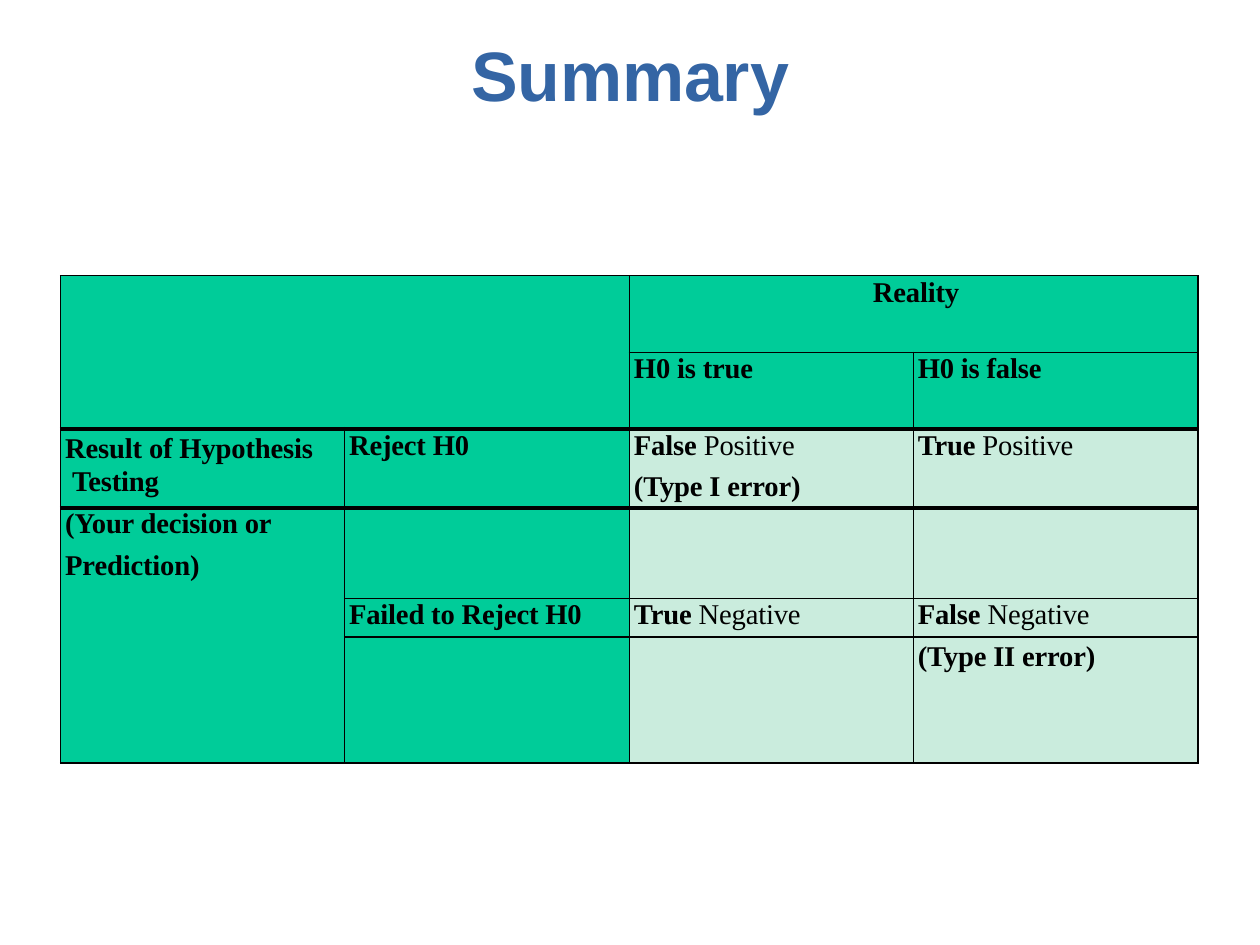
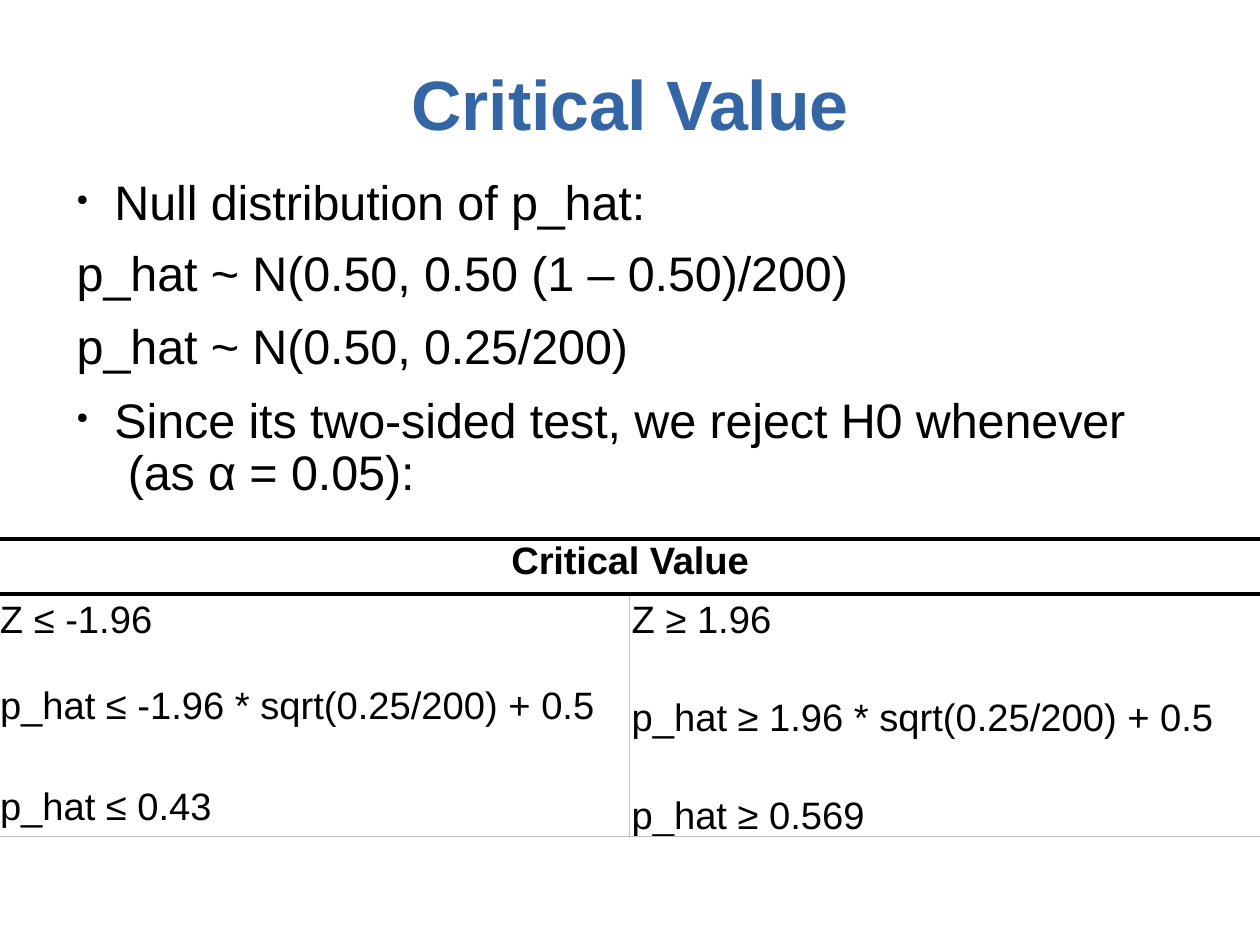
from lxml import etree
from pptx import Presentation
from pptx.dml.color import RGBColor
from pptx.enum import shapes, text
from pptx.oxml import ns
from pptx.util import Inches, Pt

WIDTH, HEIGHT = 11.01, 8.26
TITLE_BLUE, BLACK, GREY = "3465A4", "000000", "BFBFBF"
GREEN, PALE_GREEN = "00CC99", "CAECDD"
SANS, SERIF = "Arial", "Times New Roman"
CENTER = text.PP_ALIGN.CENTER


def rgb(colour):
    return RGBColor.from_string(colour)


def style(para, name, size, colour=BLACK, bold=None, align=None, spacing=0):
    """Set the font, alignment and letter spacing of a paragraph."""
    para.alignment = align
    font = para.font
    font.name, font.size, font.bold = name, Pt(size), bold
    font.color.rgb = rgb(colour)
    for span in para.runs:
        span._r.get_or_add_rPr().set("spc", str(spacing))


def indent(para, left, first=0.0):
    properties = para._p.get_or_add_pPr()
    properties.set("marL", str(Inches(left)))
    properties.set("indent", str(Inches(first)))
    return properties


def add_bullet(para, left, hanging):
    properties = indent(para, left, -hanging)
    etree.SubElement(properties, ns.qn("a:buSzPct")).set("val", "30000")
    etree.SubElement(properties, ns.qn("a:buChar")).set("char", "●")


def set_margins(holder, left=0.0, top=0.0):
    holder.margin_left, holder.margin_top = Inches(left), Inches(top)
    holder.margin_right = holder.margin_bottom = 0


def add_frame(page, left, top, width, height, inset_left=0.0, inset_top=0.0):
    box = page.shapes.add_textbox(*map(Inches, (left, top, width, height)))
    frame = box.text_frame
    frame.word_wrap = True
    set_margins(frame, inset_left, inset_top)
    return frame


def add_title(page, words, top, width):
    frame = add_frame(page, (WIDTH - width) / 2, top, width, 0.76, 0, 0.02)
    para = frame.paragraphs[0]
    para.text = words
    style(para, SANS, 44, TITLE_BLUE, True, CENTER, -10)


def add_line(page, start, end, points, colour):
    line = page.shapes.add_connector(
        shapes.MSO_CONNECTOR.STRAIGHT, *map(Inches, (*start, *end)))
    line.line.width = Pt(points)
    line.line.color.rgb = rgb(colour)
    etree.SubElement(line._element.spPr, ns.qn("a:effectLst"))


def finish_cell(cell, fill, **widths):
    """Draw black borders of the given widths, and then the fill."""
    properties = cell._tc.get_or_add_tcPr()
    for side in "LRTB":
        points = widths[side]
        line = etree.SubElement(properties, ns.qn("a:ln" + side))
        line.set("w", str(Pt(points)))
        if points:
            solid = etree.SubElement(line, ns.qn("a:solidFill"))
            etree.SubElement(solid, ns.qn("a:srgbClr")).set("val", BLACK)
        else:
            etree.SubElement(line, ns.qn("a:noFill"))
    cell.fill.solid()
    cell.fill.fore_color.rgb = rgb(fill)


def add_outcome_table(page, left, top):
    widths = [2.48, 2.49, 2.48, 2.49]
    heights = [0.67, 0.67, 0.69, 0.34, 0.45, 0.34, 1.1]
    label_rules = [1, 1, 3, 3, 0, 0, 0, 1]
    value_rules = [1, 1, 3, 3, 0, 1, 1, 1]
    # Each paragraph is a bold part and a plain part.
    contents = {
        (0, 2): [("Reality", "")],
        (1, 2): [("H0 is true", "")],
        (1, 3): [("H0 is false", "")],
        (2, 0): [("Result of Hypothesis Testing", "")],
        (2, 1): [("Reject H0", "")],
        (2, 2): [("False ", "Positive"), ("(Type I error)", "")],
        (2, 3): [("True ", "Positive")],
        (3, 0): [("(Your decision or", "")],
        (4, 0): [("Prediction)", "")],
        (5, 1): [("Failed to Reject H0", "")],
        (5, 2): [("True ", "Negative")],
        (5, 3): [("False ", "Negative")],
        (6, 3): [("(Type II error)", "")],
    }
    top_margins = {(2, 0): 0.02, (3, 0): 0, (4, 0): 0.03, (6, 3): 0.03}

    table = page.shapes.add_table(
        len(heights), len(widths), Inches(left), Inches(top),
        Inches(sum(widths)), Inches(sum(heights))).table
    table.first_row = table.horz_banding = False
    for column, width in zip(table.columns, widths):
        column.width = Inches(width)
    for row, height in zip(table.rows, heights):
        row.height = Inches(height)
    for cell in table.iter_cells():
        set_margins(cell)
    table.cell(0, 0).merge(table.cell(1, 1))
    table.cell(0, 2).merge(table.cell(0, 3))

    for place, paragraphs in contents.items():
        cell = table.cell(*place)
        set_margins(cell, 0, top_margins.get(place, 0.01))
        frame = cell.text_frame
        for number, parts in enumerate(paragraphs):
            para = frame.add_paragraph() if number else frame.paragraphs[0]
            for part, bold in zip(parts, (True, False)):
                if part:
                    span = para.add_run()
                    span.text, span.font.bold = part, bold
            indent(para, 0.04)
            if number:
                para.space_before = Pt(6)
            style(para, SERIF, 18, spacing=-10,
                  align=CENTER if place == (0, 2) else None)
    result = table.cell(2, 0).text_frame.paragraphs[0]
    indent(result, 0.1, -0.06)
    result.line_spacing = Pt(21)

    for row in range(len(heights)):
        for column in range(len(widths)):
            cell = table.cell(row, column)
            if cell.is_spanned:
                continue
            end = row + (cell.span_height if cell.is_merge_origin else 1)
            rules = value_rules if column else label_rules
            finish_cell(
                cell, PALE_GREEN if row > 1 and column > 1 else GREEN,
                L=1, R=1, T=rules[row], B=rules[end])


def add_null_distribution(page, left, top, width, height):
    """Add the statements and, below them, the heading of the value grid."""
    frame = add_frame(page, left, top, width, height, 0, 0.12)
    lines = [
        ("Null distribution of p_hat:", True, None),
        ("p_hat ~ N(0.50, 0.50 (1 – 0.50)/200)", False, 8.4),
        ("p_hat ~ N(0.50, 0.25/200)", False, 9.4),
        ("Since its two-sided test, we reject H0 whenever\v (as α = 0.05):",
         True, 13.5),
    ]
    for number, (words, bulleted, gap) in enumerate(lines):
        para = frame.add_paragraph() if number else frame.paragraphs[0]
        para.text = words
        if gap:
            para.space_before = Pt(gap)
        if bulleted:
            add_bullet(para, 0.35, 0.33)
        else:
            indent(para, 0.02)
        style(para, SANS, 30.5, spacing=-5)
    para.line_spacing = Pt(33)

    heading = frame.add_paragraph()
    heading.text = "Critical Value"
    heading.space_before = Pt(22.4)
    indent(heading, 0.5)
    style(heading, SANS, 24, bold=True, align=CENTER, spacing=-10)


def add_critical_values(page, top, middle):
    """Add the ruled grid, with one column each side of the middle."""
    header_bottom, bottom = top + 0.48, top + 2.6
    # Each value gives its words, its drop below the header and its width.
    columns = [
        (-0.01, [("Z ≤ -1.96", -0.02, 1.36),
                 ("p_hat ≤ -1.96 * sqrt(0.25/200) + 0.5", 0.74, 5.22),
                 ("p_hat ≤ 0.43", 1.62, 1.88)]),
        (middle + 0.01, [("Z ≥ 1.96", -0.02, 1.25),
                         ("p_hat ≥ 1.96 * sqrt(0.25/200) + 0.5", 0.84, 5.11),
                         ("p_hat ≥ 0.569", 1.7, 2.06)]),
    ]
    for left, values in columns:
        for words, drop, width in values:
            frame = add_frame(page, left, header_bottom + drop, width, 0.43,
                              0.01, 0.03)
            para = frame.paragraphs[0]
            para.text = words
            style(para, SANS, 24)

    add_line(page, (middle, header_bottom + 0.01), (middle, bottom),
             0.25, GREY)
    for height, points, colour in [(header_bottom, 2.27, BLACK),
                                   (top, 2.27, BLACK), (bottom, 0.25, GREY)]:
        add_line(page, (0, height), (WIDTH, height), points, colour)


def main():
    deck = Presentation()
    deck.slide_width, deck.slide_height = Inches(WIDTH), Inches(HEIGHT)
    blank = deck.slide_layouts[6]

    summary = deck.slides.add_slide(blank)
    add_outcome_table(summary, 0.53, 2.41)
    add_title(summary, "Summary", 0.26, 2.81)

    critical = deck.slides.add_slide(blank)
    add_title(critical, "Critical Value", 0.51, 3.87)
    add_null_distribution(critical, 0.65, 1.38, 9.21, 3.73)
    add_critical_values(critical, 4.71, 5.5)

    deck.save("out.pptx")


if __name__ == "__main__":
    main()
